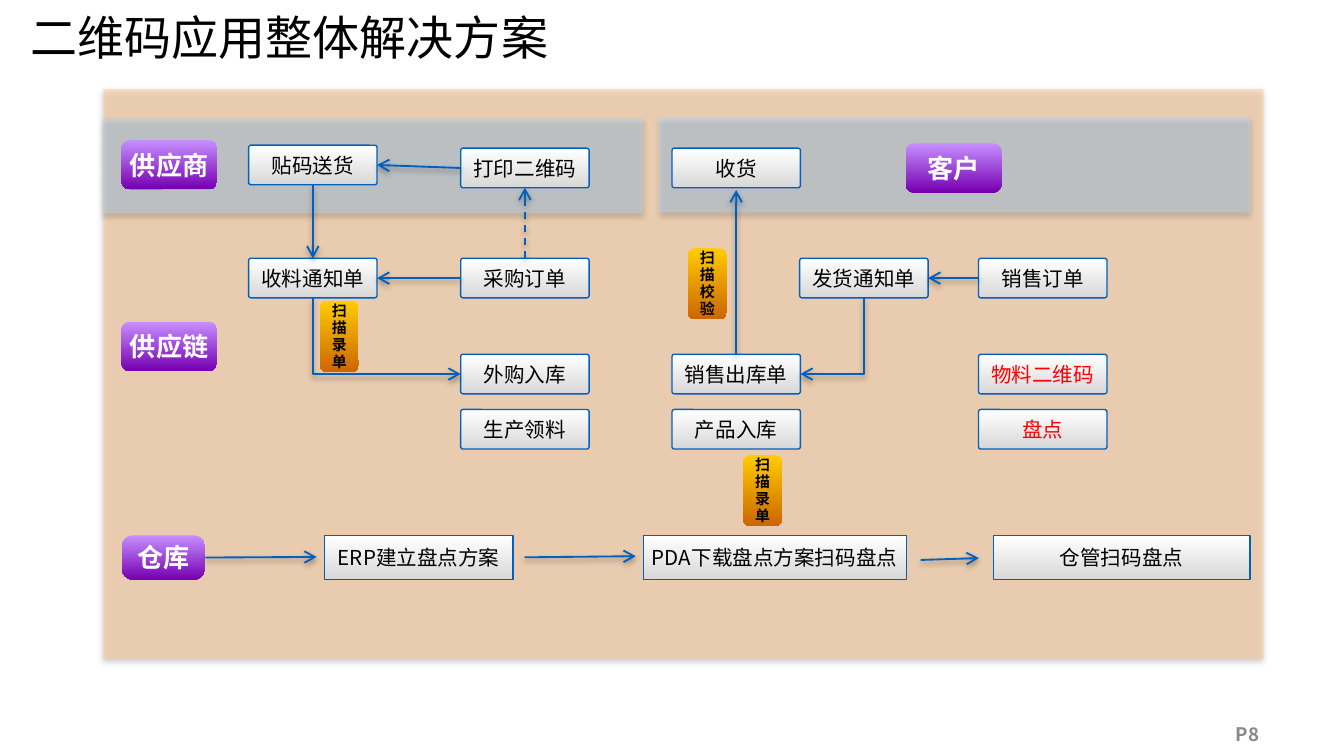
from dataclasses import dataclass

from lxml import etree
from pptx import Presentation
from pptx.dml.color import RGBColor
from pptx.enum.dml import MSO_LINE
from pptx.enum.shapes import MSO_CONNECTOR, MSO_SHAPE
from pptx.enum.text import MSO_ANCHOR, MSO_AUTO_SIZE, PP_ALIGN
from pptx.oxml.ns import qn
from pptx.util import Pt

STRAIGHT, ELBOW = MSO_CONNECTOR.STRAIGHT, MSO_CONNECTOR.ELBOW
RECT, ROUND = MSO_SHAPE.RECTANGLE, MSO_SHAPE.ROUNDED_RECTANGLE
LEFT, CENTER = PP_ALIGN.LEFT, PP_ALIGN.CENTER
MIDDLE = MSO_ANCHOR.MIDDLE
DASH = MSO_LINE.DASH
TOP_SIDE, LEFT_SIDE, LOW_SIDE, RIGHT_SIDE = range(4)


@dataclass(frozen=True)
class Theme:
    font: str = "Noto Sans CJK SC"
    black: str = "000000"
    white: str = "FFFFFF"
    red: str = "FF0000"
    gray: str = "898989"
    line: str = "0060C0"
    sand: str = "FFCC99"
    sky: str = "B1D8FF"
    silver: tuple = ("FFFFFF", "D8D8D8")
    amber: tuple = ("FFCC00", "CC6600")
    violet: tuple = ("C78FFF", "7500B0")
    title: float = 25.2
    role: float = 14
    step: float = 11
    page: float = 10
    tag: float = 8
    tag_line: float = 9


THEME = Theme()

# Grid of the flow, in points
COLS = (133.2, 246.8, 360, 428.4, 524.2)
ROWS = (79.4, 138.4, 189.8, 219.4)
BOX_W, BOX_H = 68.8, 21.2
BASE_Y, BASE_H = 286.8, 23.8
TAG_W, TAG_H = 20.8, 38


def rgb(code):
    return RGBColor.from_string(code)


def add_node(parent, tag, **attrs):
    return etree.SubElement(parent, qn(tag), attrs)


def cast(props, alpha, dist):
    """Add a soft shadow that falls straight down."""
    effects = props.find(qn("a:effectLst"))
    if effects is None:
        effects = add_node(props, "a:effectLst")
    shade = add_node(effects, "a:outerShdw", blurRad=str(Pt(3.1)),
                     dist=str(Pt(dist)), dir="5400000", rotWithShape="0")
    color = add_node(shade, "a:srgbClr", val=THEME.black)
    add_node(color, "a:alpha", val=str(alpha * 1000))


def write(par, text, size, color, bold=False, align=CENTER):
    par.alignment = align
    run = par.add_run()
    run.text = text
    font = run.font
    font.name, font.size, font.bold = THEME.font, Pt(size), bold
    font.color.rgb = rgb(color)
    add_node(run._r.get_or_add_rPr(), "a:ea", typeface=THEME.font)


def add_panel(slide, x, y, w, h, color, alpha):
    panel = slide.shapes.add_shape(RECT, Pt(x), Pt(y), Pt(w), Pt(h))
    panel.shadow.inherit = False
    panel.fill.solid()
    panel.fill.fore_color.rgb = rgb(color)
    fill = panel._element.spPr.find(qn("a:solidFill"))
    add_node(fill[0], "a:alpha", val=str(alpha * 1000))
    panel.line.fill.background()
    cast(panel._element.spPr, 35, 1.8)


def add_block(slide, x, y, w, h, grad, curve):
    """Add a rounded block with a fill that fades downwards."""
    block = slide.shapes.add_shape(ROUND, Pt(x), Pt(y), Pt(w), Pt(h))
    block.adjustments[0] = curve
    block.shadow.inherit = False
    block.fill.gradient()
    block.fill.gradient_angle = 270
    for stop, color in zip(block.fill.gradient_stops, grad):
        stop.color.rgb = rgb(color)
    block.line.fill.background()
    frame = block.text_frame
    frame.word_wrap = False
    frame.vertical_anchor = MIDDLE
    frame.margin_left = frame.margin_right = 0
    frame.margin_top = frame.margin_bottom = 0
    return block


def add_step(slide, text, x, y, w=BOX_W, h=BOX_H, curve=0.06, color=THEME.black):
    step = add_block(slide, x, y, w, h, THEME.silver, curve)
    step.line.color.rgb = rgb(THEME.line)
    step.line.width = Pt(0.75)
    write(step.text_frame.paragraphs[0], text, THEME.step, color)
    return step


def add_role(slide, text, x, y, w=51.4, h=26.4, curve=0.17):
    role = add_block(slide, x, y, w, h, THEME.violet, curve)
    write(role.text_frame.paragraphs[0], text, THEME.role, THEME.white, True)
    return role


def add_tag(slide, text, x, y):
    """Add a narrow label with one character to a line."""
    frame = add_block(slide, x, y, TAG_W, TAG_H, THEME.amber, 0.17).text_frame
    for i, char in enumerate(text):
        par = frame.add_paragraph() if i else frame.paragraphs[0]
        par.line_spacing = Pt(THEME.tag_line)
        write(par, char, THEME.tag, THEME.black, True)


def style_arrow(arrow, dash=None):
    arrow.line.color.rgb = rgb(THEME.line)
    arrow.line.width = Pt(1)
    if dash:
        arrow.line.dash_style = dash
    props = arrow._element.spPr
    add_node(props.find(qn("a:ln")), "a:tailEnd", type="arrow")
    cast(props, 38, 1.6)


def add_arrow(slide, start, end, tail=None, head=None, dash=None):
    """Draw a straight arrow; tail and head are (shape, side) to join."""
    arrow = slide.shapes.add_connector(STRAIGHT, *map(Pt, start + end))
    if tail:
        arrow.begin_connect(*tail)
    if head:
        arrow.end_connect(*head)
    style_arrow(arrow, dash)


def join(slide, tail, head, dash=None):
    add_arrow(slide, (0, 0), (0, 0), tail, head, dash)


def add_bend(slide, x1, y1, x2, y2):
    """Draw an arrow that goes down, then sideways."""
    mid_x, mid_y = (x1 + x2) / 2, (y1 + y2) / 2
    half_w, half_h = (y2 - y1) / 2, abs(x2 - x1) / 2
    bend = slide.shapes.add_connector(
        ELBOW, Pt(mid_x - half_w), Pt(mid_y - half_h),
        Pt(mid_x + half_w), Pt(mid_y + half_h))
    props = bend._element.spPr
    props.find(qn("a:prstGeom")).set("prst", "bentConnector2")
    frame = props.find(qn("a:xfrm"))
    if x2 > x1:
        frame.set("rot", "16200000")
        frame.set("flipH", "1")
    else:
        frame.set("rot", "5400000")
    style_arrow(bend)


def add_title(slide, text):
    title = slide.shapes.title
    title.left, title.top, title.width, title.height = map(Pt, (9.2, 1.4, 527, 36.7))
    frame = title.text_frame
    frame.auto_size = MSO_AUTO_SIZE.NONE
    frame.vertical_anchor = MIDDLE
    write(frame.paragraphs[0], text, THEME.title, THEME.black, align=LEFT)


def add_page(slide, text):
    page = slide.shapes.add_textbox(Pt(655), Pt(383.6), Pt(64.8), Pt(19.4))
    page.text_frame.word_wrap = True
    write(page.text_frame.paragraphs[0], text, THEME.page, THEME.gray, True, LEFT)


def add_flow(slide):
    steps = {}
    for text, col, row in (
            ("贴码送货", 0, 0), ("打印二维码", 1, 0), ("收货", 2, 0),
            ("收料通知单", 0, 1), ("采购订单", 1, 1), ("发货通知单", 3, 1),
            ("销售订单", 4, 1), ("外购入库", 1, 2), ("销售出库单", 2, 2),
            ("生产领料", 1, 3), ("产品入库", 2, 3)):
        lift = 1.6 if (col, row) == (0, 0) else 0
        steps[text] = add_step(slide, text, COLS[col], ROWS[row] - lift)
    for text, row in (("物料二维码", 2), ("盘点", 3)):
        add_step(slide, text, COLS[4], ROWS[row], color=THEME.red)

    order, notice = steps["采购订单"], steps["收料通知单"]
    code, send = steps["打印二维码"], steps["贴码送货"]
    join(slide, (order, TOP_SIDE), (code, LOW_SIDE), DASH)
    join(slide, (order, LEFT_SIDE), (notice, RIGHT_SIDE))
    join(slide, (code, LEFT_SIDE), (send, RIGHT_SIDE))
    join(slide, (send, LOW_SIDE), (notice, TOP_SIDE))
    join(slide, (steps["销售订单"], LEFT_SIDE), (steps["发货通知单"], RIGHT_SIDE))
    mid = COLS[2] + BOX_W / 2
    add_arrow(slide, (mid, ROWS[2]), (mid, 101.8), (steps["销售出库单"], TOP_SIDE))

    low, stock = ROWS[1] + BOX_H, ROWS[2] + BOX_H / 2
    add_bend(slide, COLS[0] + BOX_W / 2, low, COLS[1], stock)
    add_bend(slide, COLS[3] + BOX_W / 2, low, COLS[2] + BOX_W, stock)


def add_count(slide):
    """Add the row of stock-taking steps."""
    store = add_role(slide, "仓库", 65.2, BASE_Y, 44.8, BASE_H, 0.27)
    for text, x, w in (("ERP建立盘点方案", 174, 100.8),
                       ("PDA下载盘点方案扫码盘点", 344.6, 141),
                       ("仓管扫码盘点", 532.2, 137.4)):
        add_step(slide, text, x, BASE_Y, w, BASE_H, 0)
    add_arrow(slide, (110, 298.7), (169.6, 298.4), (store, RIGHT_SIDE))
    add_arrow(slide, (281, 298.6), (340.6, 298))
    add_arrow(slide, (493.2, 300), (524.4, 299))


def main():
    deck = Presentation()
    deck.slide_width, deck.slide_height = Pt(720), Pt(405)
    slide = deck.slides.add_slide(deck.slide_layouts[5])
    add_title(slide, "二维码应用整体解决方案")
    add_panel(slide, 55.4, 47.8, 621.4, 305.2, THEME.sand, 56)
    add_panel(slide, 353, 62.8, 316.8, 51, THEME.sky, 44)
    add_panel(slide, 55.4, 63.4, 289.2, 51, THEME.sky, 44)
    add_flow(slide)
    for text, x, y in (("供应商", 65, 75), ("客户", 485.2, 76.8), ("供应链", 65, 172.4)):
        add_role(slide, text, x, y)
    for text, x, y in (("扫描校验", 368.6, 133), ("扫描录单", 171.4, 161.2),
                       ("扫描录单", 398.2, 243.8)):
        add_tag(slide, text, x, y)
    add_count(slide)
    add_page(slide, "P8")
    deck.save("out.pptx")


if __name__ == "__main__":
    main()
